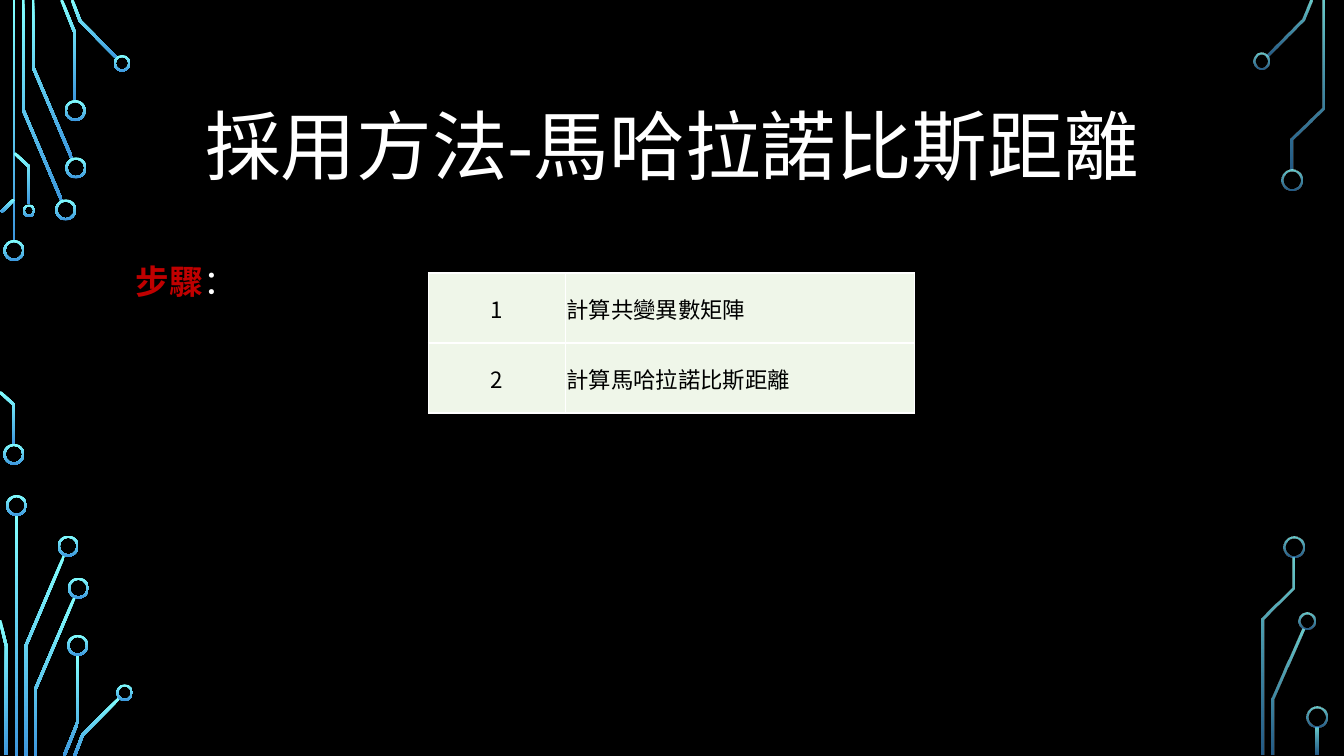
import pptx
import pptx.dml.color
import pptx.enum.shapes
import pptx.enum.text
import pptx.oxml
import pptx.oxml.ns
import pptx.util
from lxml import etree

Pt = pptx.util.Pt
SHAPES = pptx.enum.shapes.MSO_SHAPE
ALIGN = pptx.enum.text.PP_ALIGN
ANCHOR = pptx.enum.text.MSO_ANCHOR
qn = pptx.oxml.ns.qn
RGB = pptx.dml.color.RGBColor.from_string

FONT = "Noto Sans CJK SC"
COLORS = {
    "background": "000000", "title": "FFFFFF", "keyword": "C00000",
    "cell": "EFF6E9", "cell_text": "000000", "border": "FFFFFF",
    "glow_top": "82FFFF", "glow_bottom": "3D97DE",
}


def add_text(paragraph, text, size, color, bold=False, align=ALIGN.LEFT):
    paragraph.alignment = align
    run = paragraph.add_run()
    run.text = text
    run.font.size = Pt(size)
    run.font.bold = bold
    run.font.color.rgb = RGB(COLORS[color])
    run.font.name = FONT
    etree.SubElement(run._r.get_or_add_rPr(), qn("a:ea"), typeface=FONT)


def glow(shape, opacities):
    shape.shadow.inherit = False
    shape.line.fill.background()
    shape.fill.gradient()
    shape.fill.gradient_angle = 270
    names = ("glow_top", "glow_bottom")
    for stop, name, opacity in zip(shape.fill.gradient_stops, names, opacities):
        stop.color.rgb = RGB(COLORS[name])
        if opacity < 100:
            color = stop._gs.find(qn("a:srgbClr"))
            etree.SubElement(color, qn("a:alpha"), val=str(opacity * 1000))


deck = pptx.Presentation()
deck.slide_width, deck.slide_height = Pt(960), Pt(540)
slide = deck.slides.add_slide(deck.slide_layouts[6])
slide.background.fill.solid()
slide.background.fill.fore_color.rgb = RGB(COLORS["background"])

# Circuit traces: node diameter, then the centre line up to the node
BIG, MEDIUM, SMALL = 15, 12, 9
HALF_WIDTH = 1
fan = [
    (BIG, [(10, 0), (10, 171.4)]),
    (BIG, [(16.6, 0), (16.6, 78.5), (44, 143)]),
    (BIG, [(23.6, 0), (23.6, 48), (51.3, 113)]),
    (BIG, [(44, 0), (53.7, 24), (53.7, 71.5)]),
    (MEDIUM, [(51.5, 0), (57.2, 15), (83, 41)]),
]
# The lower fan mirrors the upper one, a little to the right
mirrored_fan = [(node, [(x + 1.8, 540 - y) for x, y in line]) for node, line in fan]
left_edge = [
    (BIG, [(0, 280), (9.9, 289), (9.9, 317)]),
    (SMALL, [(10.5, 109.5), (20.7, 119), (20.7, 146)]),
    (0, [(1, 151.3), (10, 142.5)]),
    (0, [(0, 443), (4.5, 461.5), (4.5, 539)]),
]
right_edge = [
    (MEDIUM, [(936.4, 0), (930.6, 14), (905.3, 39.5)]),
    (BIG, [(945, 0), (945, 77.5), (923, 99.5), (923, 121.3)]),
    (MEDIUM, [(909, 539), (909, 499), (931, 449)]),
    (BIG, [(901.8, 539), (901.8, 442), (924, 420), (924, 398)]),
    (BIG, [(941, 539), (941, 520)]),
]
for traces, opacities in ((fan + mirrored_fan + left_edge, (100, 100)),
                          (right_edge, (80, 60))):
    for node, line in traces:
        points = [complex(x, y) for x, y in line]
        directions = [(b - a) / abs(b - a) for a, b in zip(points, points[1:])]

        # Widen the centre line into an outline with mitred corners
        near, far = [], []
        for point, before, after in zip(points, directions[:1] + directions,
                                        directions + directions[-1:]):
            cosine = (before * after.conjugate()).real
            offset = HALF_WIDTH * 1j * (before + after) / (1 + cosine)
            near.append(point + offset)
            far.append(point - offset)
        corners = [(Pt(p.real), Pt(p.imag)) for p in near + far[::-1]]
        outline = slide.shapes.build_freeform(*corners[0], scale=1.0)
        outline.add_line_segments(corners[1:], close=True)
        glow(outline.convert_to_shape(), opacities)

        if node:
            center = points[-1] + directions[-1] * node / 2
            ring = slide.shapes.add_shape(
                SHAPES.DONUT, Pt(center.real - node / 2), Pt(center.imag - node / 2),
                Pt(node), Pt(node))
            ring.adjustments[0] = 1.5 / node
            glow(ring, opacities)

# Title
title = slide.shapes.add_textbox(Pt(90), Pt(49), Pt(780), Pt(116.5)).text_frame
title.word_wrap = True
title.vertical_anchor = ANCHOR.MIDDLE
title.paragraphs[0].line_spacing = 0.9
add_text(title.paragraphs[0], "採用方法-馬哈拉諾比斯距離", 54, "title", align=ALIGN.CENTER)

# Steps heading
heading = slide.shapes.add_textbox(Pt(90), Pt(177), Pt(780), Pt(279)).text_frame
heading.word_wrap = True
heading.paragraphs[0].line_spacing = 1.2
heading.paragraphs[0].space_before = Pt(10)
add_text(heading.paragraphs[0], "步驟", 24, "keyword", bold=True)
add_text(heading.paragraphs[0], "：", 24, "title")

# Steps table
steps = ["計算共變異數矩陣", "計算馬哈拉諾比斯距離"]
table = slide.shapes.add_table(len(steps), 2, Pt(306), Pt(195), Pt(347), Pt(100)).table
table.columns[0].width, table.columns[1].width = Pt(98), Pt(249)
for row, step in enumerate(steps):
    for column, text in enumerate((str(row + 1), step)):
        cell = table.cell(row, column)
        cell.margin_left = cell.margin_right = cell.margin_top = Pt(0.7)
        cell.margin_bottom = 0
        cell.vertical_anchor = ANCHOR.MIDDLE
        add_text(cell.text_frame.paragraphs[0], text, 16, "cell_text",
                 align=ALIGN.LEFT if column else ALIGN.CENTER)
        cell.fill.solid()
        cell.fill.fore_color.rgb = RGB(COLORS["cell"])
        properties = cell._tc.get_or_add_tcPr()
        for position, side in enumerate(("lnL", "lnR", "lnT", "lnB")):
            border = etree.Element(qn("a:" + side), w=str(Pt(1)))
            fill = etree.SubElement(border, qn("a:solidFill"))
            etree.SubElement(fill, qn("a:srgbClr"), val=COLORS["border"])
            properties.insert(position, border)

deck.save("out.pptx")
